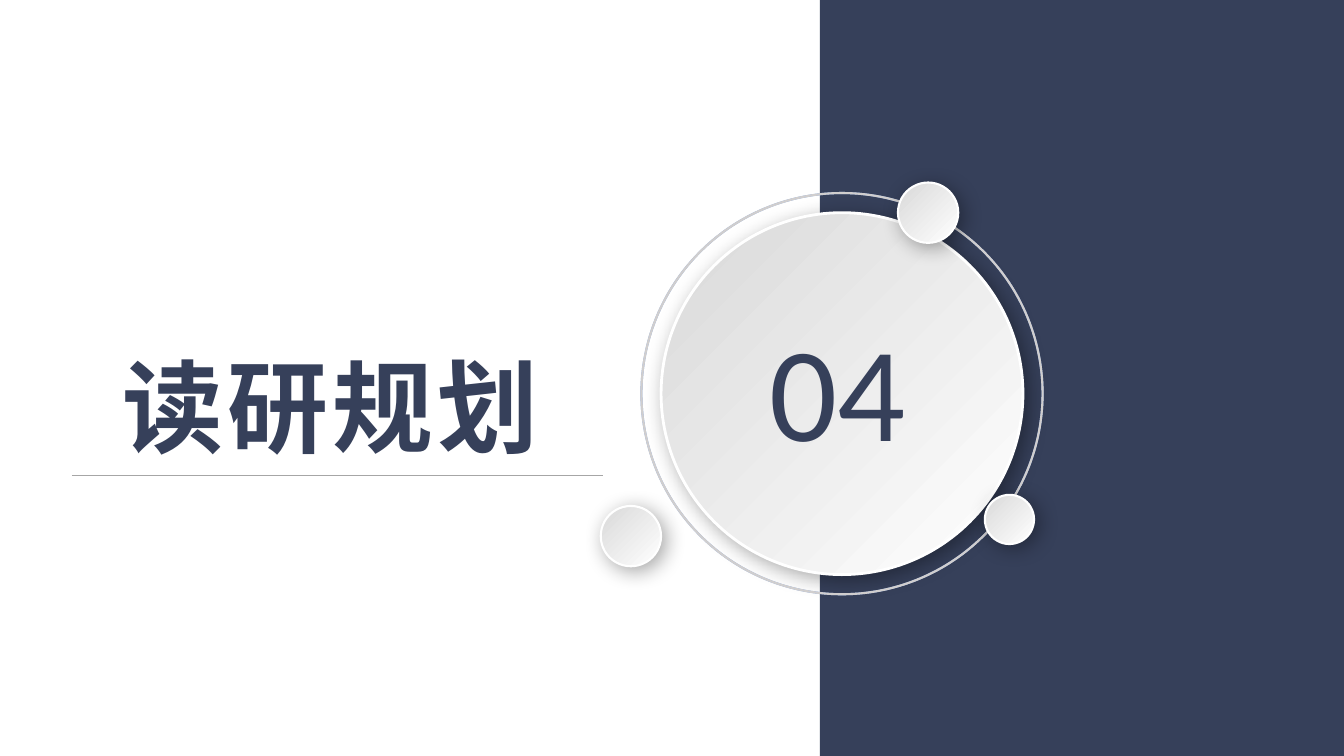
from dataclasses import dataclass

from lxml.etree import SubElement
from pptx import Presentation
from pptx.dml.color import RGBColor
from pptx.enum.shapes import MSO_CONNECTOR as Connector, MSO_SHAPE as Preset
from pptx.enum.text import MSO_AUTO_SIZE as AutoSize, PP_ALIGN as Align
from pptx.oxml.ns import qn
from pptx.shapes.autoshape import Shape
from pptx.slide import Slide
from pptx.util import Cm, Pt

COLOURS = {
    "navy": "36405A",
    "white": "FFFFFF",
    "grey": "D9D9D9",
    "rule": "A6A6A6",
    "blue_ring": "8FAADC",
    "grey_ring": "D0CECE",
    "shadow": "000000",
}
FONT = "Calibri"
PAGE_WIDTH, PAGE_HEIGHT = 33.87, 19.05
PANEL_LEFT = 20.66
HUB_X, HUB_Y = 21.22, 9.92


@dataclass(frozen=True)
class Circle:
    """Centre and diameter in centimetres, outline width in points."""
    x: float
    y: float
    diameter: float
    outline: str
    width: float
    raised: bool = True


@dataclass(frozen=True)
class Label:
    """Box in centimetres, text size and letter spacing in points."""
    text: str
    left: float
    top: float
    width: float
    height: float
    size: int
    bold: bool = False
    wrap: bool = True
    align: Align = Align.LEFT
    spacing: int = 0


CIRCLES = [
    Circle(HUB_X, HUB_Y, 9.12, "white", 2),
    Circle(HUB_X, HUB_Y, 10.11, "blue_ring", 1.5, raised=False),
    Circle(HUB_X, HUB_Y, 10.11, "grey_ring", 1.5, raised=False),
    Circle(23.39, 5.36, 1.52, "white", 1.5),
    Circle(15.9, 13.51, 1.52, "white", 1.5),
    Circle(25.44, 13.09, 1.24, "white", 1.5),
]
TITLE = Label("读研规划", 2.84, 8.56, 11.2, 3.33, 72, bold=True, wrap=False, spacing=3)
NUMBER = Label("04", 18.13, 7.62, 5.94, 4.37, 96, align=Align.CENTER)


def colour(name: str) -> RGBColor:
    return RGBColor.from_string(COLOURS[name])


def add_panel(page: Slide) -> None:
    panel = page.shapes.add_shape(
        Preset.RECTANGLE, Cm(PANEL_LEFT), 0, Cm(PAGE_WIDTH - PANEL_LEFT), Cm(PAGE_HEIGHT))
    panel.shadow.inherit = False
    panel.fill.solid()
    panel.fill.fore_color.rgb = colour("navy")
    panel.line.fill.background()


def add_soft_shadow(disc: Shape) -> None:
    effects = disc._element.spPr.find(qn("a:effectLst"))
    shadow = SubElement(effects, qn("a:outerShdw"), {
        "blurRad": str(Pt(15)), "dist": str(Pt(4)), "dir": str(45 * 60000),
        "algn": "tl", "rotWithShape": "0"})
    tint = SubElement(shadow, qn("a:srgbClr"), val=COLOURS["shadow"])
    SubElement(tint, qn("a:alpha"), val="34000")


def add_circle(page: Slide, circle: Circle) -> None:
    """Draw a shaded disc with a shadow, or an open ring if not raised."""
    radius = circle.diameter / 2
    disc = page.shapes.add_shape(
        Preset.OVAL, Cm(circle.x - radius), Cm(circle.y - radius),
        Cm(circle.diameter), Cm(circle.diameter))
    disc.line.color.rgb = colour(circle.outline)
    disc.line.width = Pt(circle.width)
    disc.shadow.inherit = False
    if not circle.raised:
        disc.fill.background()
        return
    disc.fill.gradient()
    disc.fill.gradient_angle = 315
    for stop, name in zip(disc.fill.gradient_stops, ("grey", "white")):
        stop.color.rgb = colour(name)
    add_soft_shadow(disc)


def add_rule(page: Slide) -> None:
    rule = page.shapes.add_connector(
        Connector.STRAIGHT, Cm(1.81), Cm(11.97), Cm(15.2), Cm(11.97))
    rule.line.color.rgb = colour("rule")
    rule.line.width = Pt(0.5)
    SubElement(rule._element.spPr, qn("a:effectLst"))


def add_label(page: Slide, label: Label) -> None:
    box = page.shapes.add_textbox(
        Cm(label.left), Cm(label.top), Cm(label.width), Cm(label.height))
    frame = box.text_frame
    frame.word_wrap = label.wrap
    frame.auto_size = AutoSize.SHAPE_TO_FIT_TEXT
    para = frame.paragraphs[0]
    para.alignment = label.align
    para.font.name = FONT
    para.font.size = Pt(label.size)
    para.font.bold = label.bold
    para.font.color.rgb = colour("navy")
    span = para.add_run()
    span.text = label.text
    if label.spacing:
        span._r.get_or_add_rPr().set("spc", str(label.spacing * 100))


def main() -> None:
    deck = Presentation()
    deck.slide_width, deck.slide_height = Cm(PAGE_WIDTH), Cm(PAGE_HEIGHT)
    page = deck.slides.add_slide(deck.slide_layouts[6])
    add_panel(page)
    add_label(page, TITLE)
    add_rule(page)
    for circle in CIRCLES:
        add_circle(page, circle)
    add_label(page, NUMBER)
    deck.save("out.pptx")


if __name__ == "__main__":
    main()
